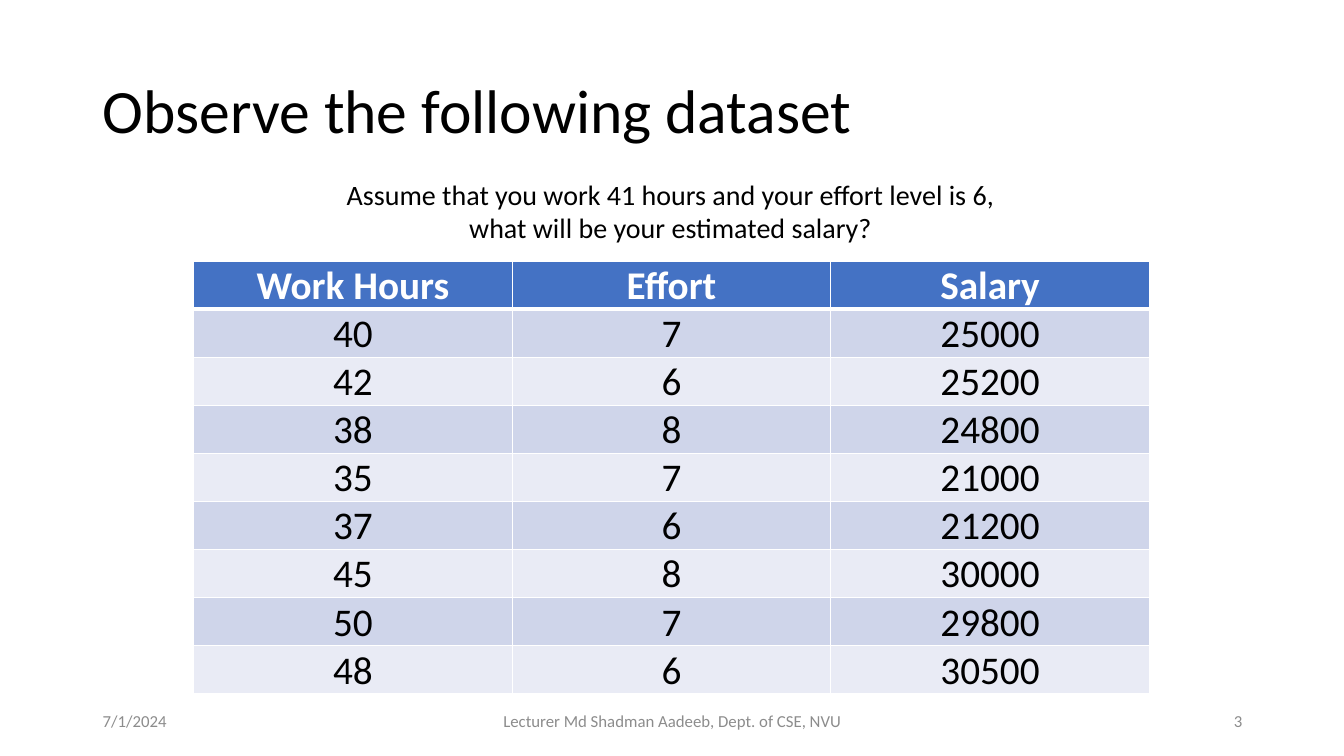
from lxml import etree
from pptx import Presentation
from pptx import util as u
from pptx.dml.color import RGBColor
from pptx.enum import text
from pptx.oxml import ns

# Content
TITLE = "Observe the following dataset"
QUESTION = ["Assume that you work 41 hours and your effort level is 6,",
            "what will be your estimated salary?"]
HEADER = ("Work Hours", "Effort", "Salary")
DATA = [
    (40, 7, 25000),
    (42, 6, 25200),
    (38, 8, 24800),
    (35, 7, 21000),
    (37, 6, 21200),
    (45, 8, 30000),
    (50, 7, 29800),
    (48, 6, 30500),
]
DATE = "7/1/2024"
LECTURER = "Lecturer Md Shadman Aadeeb, Dept. of CSE, NVU"
PAGE = "3"

# Style
FONT = "Calibri"
BLACK = RGBColor(0x00, 0x00, 0x00)
WHITE = RGBColor(0xFF, 0xFF, 0xFF)
GRAY = RGBColor(0x8C, 0x8C, 0x8C)
BLUE = RGBColor(0x44, 0x72, 0xC4)
BANDS = (RGBColor(0xCF, 0xD5, 0xEA), RGBColor(0xE9, 0xEB, 0xF5))
LEFT, CENTER, RIGHT = (text.PP_ALIGN.LEFT, text.PP_ALIGN.CENTER,
                       text.PP_ALIGN.RIGHT)
MIDDLE, TOP = text.MSO_ANCHOR.MIDDLE, text.MSO_ANCHOR.TOP

# Layout in inches
TABLE_LEFT, TABLE_TOP, COL_W, ROW_H = 1.92, 2.59, 3.16, 0.45
FOOT_TOP, FOOT_H = 6.95, 0.4


def apply(obj, **values):
    for name, value in values.items():
        setattr(obj, name, value)


def write(p, words, size, color, align, bold=False):
    p.alignment = align
    r = p.add_run()
    r.text = str(words)
    apply(r.font, name=FONT, size=u.Pt(size), bold=bold)
    r.font.color.rgb = color


def add_text(s, box, lines, size, color, align, anchor=MIDDLE, **frame):
    tf = s.shapes.add_textbox(*map(u.Inches, box)).text_frame
    apply(tf, **{"word_wrap": True, "vertical_anchor": anchor, **frame})
    for i, line in enumerate(lines):
        p = tf.add_paragraph() if i else tf.paragraphs[0]
        write(p, line, size, color, align)
    return tf


def add_borders(cell, widths):
    tc_pr = cell._tc.get_or_add_tcPr()
    for side, width in widths.items():
        ln = etree.SubElement(tc_pr, ns.qn(f"a:ln{side}"), w=str(u.Pt(width)))
        fill = etree.SubElement(ln, ns.qn("a:solidFill"))
        etree.SubElement(fill, ns.qn("a:srgbClr"), val=str(WHITE))


prs = Presentation()
apply(prs, slide_width=u.Inches(13.33), slide_height=u.Inches(7.5))
s = prs.slides.add_slide(prs.slide_layouts[6])

# Title
tf = add_text(s, (0.92, 0.4, 11.5, 1.45), [TITLE], 44, BLACK, LEFT)
tf.paragraphs[0].line_spacing = 0.9

# Dataset table
rows = [HEADER] + DATA
table = s.shapes.add_table(
    len(rows), len(HEADER), u.Inches(TABLE_LEFT), u.Inches(TABLE_TOP),
    u.Inches(COL_W * len(HEADER)), u.Inches(ROW_H * len(rows))).table
table.horz_banding = False
for i, row in enumerate(rows):
    table.rows[i].height = u.Inches(ROW_H)
    head = i == 0
    borders = {"L": 1, "R": 1, "T": 3 if i == 1 else 1, "B": 3 if head else 1}
    for j, value in enumerate(row):
        cell = table.cell(i, j)
        apply(cell, vertical_anchor=text.MSO_ANCHOR.BOTTOM,
              margin_left=u.Inches(0.01), margin_right=u.Inches(0.01),
              margin_top=u.Inches(0.01), margin_bottom=0)
        add_borders(cell, borders)
        cell.fill.solid()
        cell.fill.fore_color.rgb = BLUE if head else BANDS[(i - 1) % 2]
        write(cell.text_frame.paragraphs[0], value, 28,
              WHITE if head else BLACK, CENTER, head)

# Footer
for left, width, words, align in ((0.92, 3, DATE, LEFT),
                                  (4.42, 4.5, LECTURER, CENTER),
                                  (9.42, 3, PAGE, RIGHT)):
    add_text(s, (left, FOOT_TOP, width, FOOT_H), [words], 12, GRAY, align)

# Question
add_text(s, (3.31, 1.71, 6.68, 0.77), QUESTION, 20, BLACK, CENTER, TOP,
         word_wrap=False, auto_size=text.MSO_AUTO_SIZE.SHAPE_TO_FIT_TEXT)

prs.save("out.pptx")
